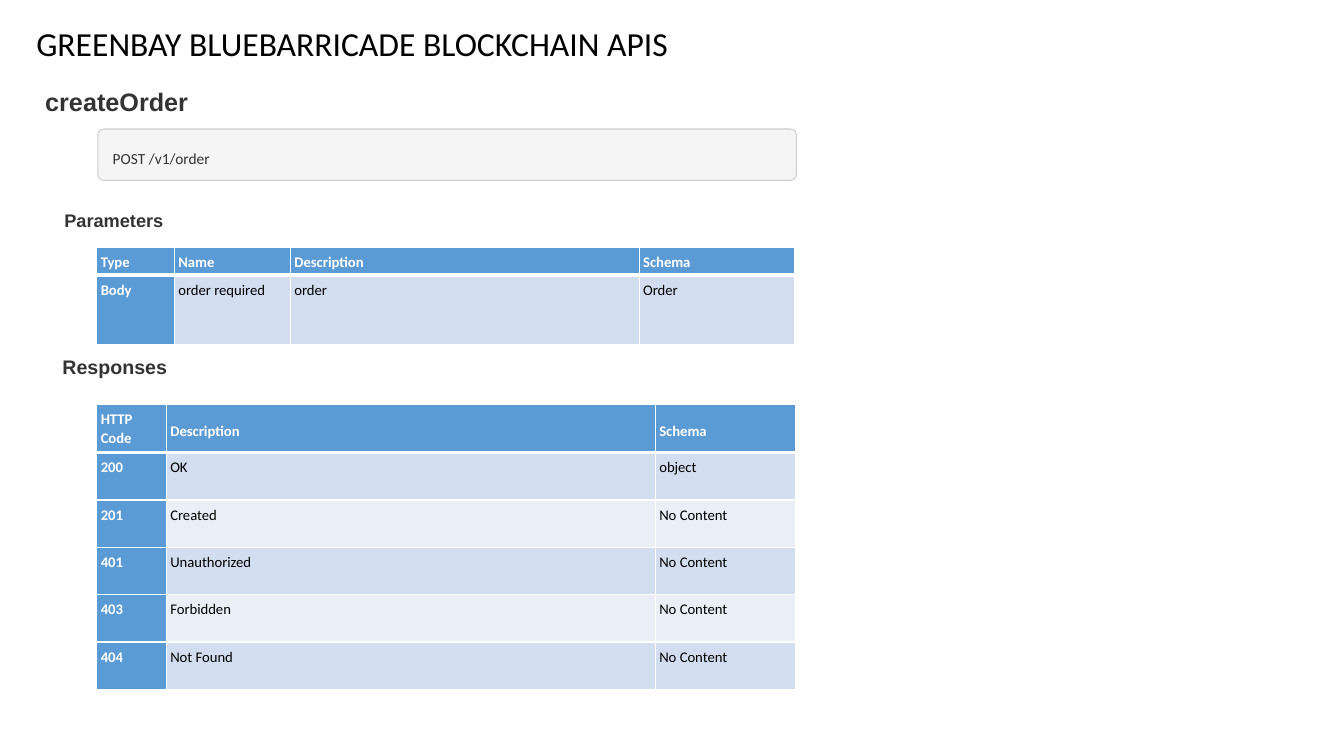
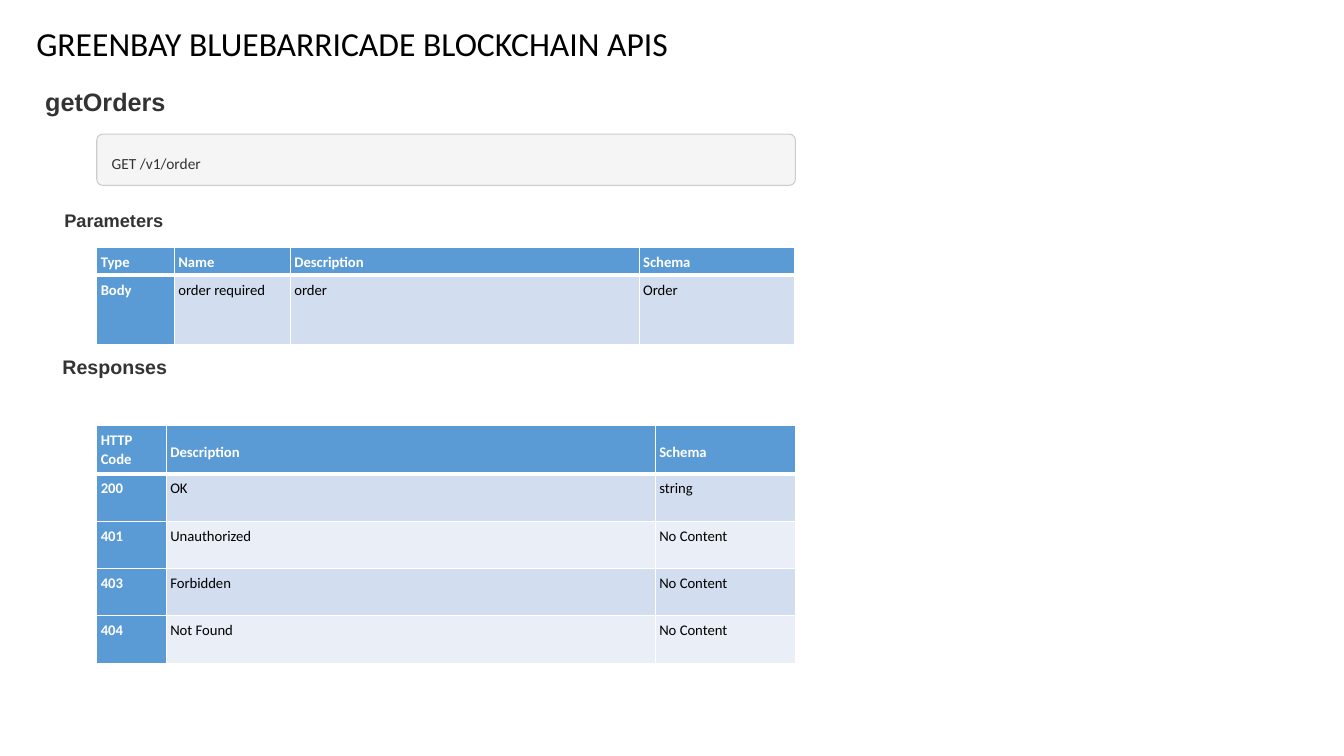
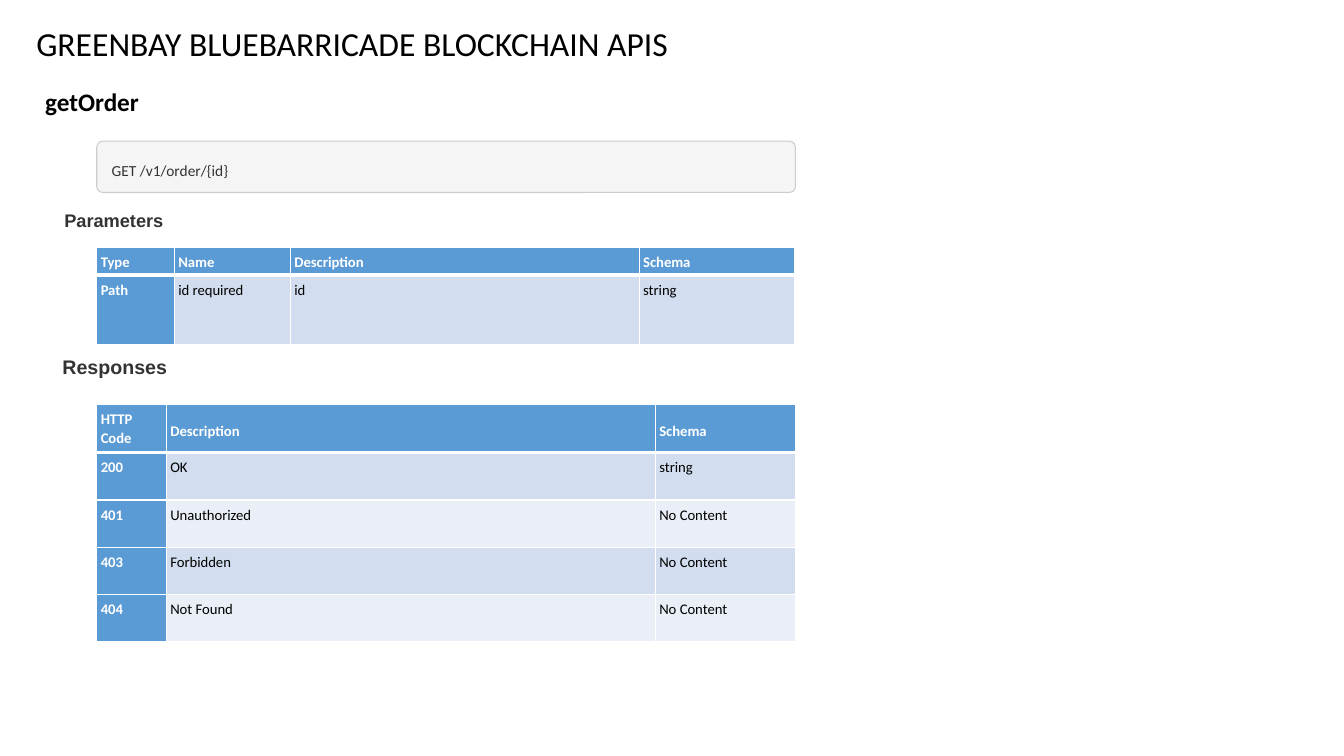
"""Build three reference slides describing the order endpoints of a blockchain API."""
import pptx
import pptx.dml.color
import pptx.enum.shapes
import pptx.enum.text
import pptx.oxml
import pptx.oxml.ns
import pptx.util

Inches = pptx.util.Inches
Pt = pptx.util.Pt
ANCHOR = pptx.enum.text.MSO_ANCHOR

BLACK, WHITE, DARK = "000000", "FFFFFF", "333333"
BLUE, BANDS = "5B9BD5", ("D2DEEF", "EAEFF7")
PANEL, PANEL_LINE = "F5F5F5", "CCCCCC"
TABLE_LEFT = 0.96
PARAMETER_HEADER = ("Type", "Name", "Description", "Schema")
RESPONSE_HEADER = ("HTTP Code", "Description", "Schema")
ERRORS = [
    ("401", "Unauthorized", "No Content"),
    ("403", "Forbidden", "No Content"),
    ("404", "Not Found", "No Content"),
]

ENDPOINTS = [
    {
        "name": "createOrder", "name_font": "Arial", "name_color": DARK,
        "request": "POST /v1/order", "panel_left": 0.97, "panel_top": 1.28,
        "parameter": ("Body", "order required", "order", "Order"),
        "responses": [("200", "OK", "object"), ("201", "Created", "No Content")] + ERRORS,
        "responses_top": 4.01,
    },
    {
        "name": "getOrders", "name_font": "Arial", "name_color": DARK,
        "request": "GET /v1/order", "panel_left": 0.96, "panel_top": 1.33,
        "parameter": ("Body", "order required", "order", "Order"),
        "responses": [("200", "OK", "string")] + ERRORS,
        "responses_top": 4.22,
    },
    {
        "name": "getOrder", "name_font": "Calibri", "name_color": BLACK,
        "request": "GET /v1/order/{id}", "panel_left": 0.96, "panel_top": 1.4,
        "parameter": ("Path", "id required", "id", "string"),
        "responses": [("200", "OK", "string")] + ERRORS,
        "responses_top": 4.01,
    },
]


def rgb(value):
    """Turn a hex string into a colour."""
    return pptx.dml.color.RGBColor.from_string(value)


def write(frame, text, size, font, color, bold=False, spacing=1.0):
    """Put one left-aligned paragraph into a text frame."""
    frame.text = text
    para = frame.paragraphs[0]
    para.alignment = pptx.enum.text.PP_ALIGN.LEFT
    para.line_spacing = spacing
    para.font.size = Pt(size)
    para.font.name = font
    para.font.bold = bold
    para.font.color.rgb = rgb(color)


deck = pptx.Presentation()
deck.slide_width = Inches(13.33)
deck.slide_height = Inches(7.5)

for endpoint in ENDPOINTS:
    page = deck.slides.add_slide(deck.slide_layouts[5])

    title = page.shapes.title
    title.left, title.top = Inches(0.26), Inches(0.18)
    title.width, title.height = Inches(6.52), Inches(0.5)
    title.text_frame.auto_size = pptx.enum.text.MSO_AUTO_SIZE.NONE
    title.text_frame.word_wrap = False
    title.text_frame.vertical_anchor = ANCHOR.TOP
    write(title.text_frame, "GREENBAY BLUEBARRICADE BLOCKCHAIN APIS", 24, "Calibri", BLACK)

    headings = [
        (endpoint["name"], 0.35, 0.81, 3, 0.4, 18, endpoint["name_font"], endpoint["name_color"], 1.0),
        ("Parameters", 0.54, 2.03, 5.8, 0.32, 13, "Arial", DARK, 1.0),
        ("Responses", 0.52, 3.46, 1.25, 0.35, 14, "Arial", DARK, 1.07),
    ]
    for text, left, top, width, height, size, font, color, spacing in headings:
        box = page.shapes.add_textbox(Inches(left), Inches(top), Inches(width), Inches(height))
        box.text_frame.word_wrap = True
        write(box.text_frame, text, size, font, color, True, spacing)

    panel = page.shapes.add_shape(
        pptx.enum.shapes.MSO_SHAPE.ROUNDED_RECTANGLE,
        Inches(endpoint["panel_left"]), Inches(endpoint["panel_top"]), Inches(6.93), Inches(0.51))
    panel.adjustments[0] = 0.12
    panel.shadow.inherit = False
    panel.fill.solid()
    panel.fill.fore_color.rgb = rgb(PANEL)
    panel.line.color.rgb = rgb(PANEL_LINE)
    panel.line.width = Pt(0.75)
    frame = panel.text_frame
    frame.margin_left, frame.margin_top = Inches(0.13), Inches(0.17)
    frame.margin_right = frame.margin_bottom = 0
    frame.vertical_anchor = ANCHOR.TOP
    write(frame, endpoint["request"], 11, "Calibri", DARK, spacing=1.07)

    tables = [
        (2.45, [PARAMETER_HEADER, endpoint["parameter"]],
         (0.77, 1.15, 3.46, 1.54), 0.28, 0.69, ANCHOR.TOP),
        (endpoint["responses_top"], [RESPONSE_HEADER] + endpoint["responses"],
         (0.69, 4.85, 1.39), 0.48, 0.47, ANCHOR.MIDDLE),
    ]
    for top, rows, widths, header_height, row_height, header_anchor in tables:
        height = header_height + row_height * (len(rows) - 1)
        table = page.shapes.add_table(
            len(rows), len(widths), Inches(TABLE_LEFT), Inches(top),
            Inches(sum(widths)), Inches(height)).table
        for column, width in zip(table.columns, widths):
            column.width = Inches(width)
        for row_index, row in enumerate(rows):
            is_header = row_index == 0
            table.rows[row_index].height = Inches(header_height if is_header else row_height)
            for column_index, text in enumerate(row):
                cell = table.cell(row_index, column_index)
                is_label = is_header or column_index == 0
                cell.margin_left, cell.margin_top = Inches(0.04), Inches(0.05)
                cell.margin_right, cell.margin_bottom = Inches(0.08), 0
                cell.vertical_anchor = header_anchor if is_header and column_index else ANCHOR.TOP
                write(cell.text_frame, text, 10.5, "Calibri",
                      WHITE if is_label else BLACK, is_label, 1.07)
                properties = cell._tc.get_or_add_tcPr()
                for side in "LRTB":
                    is_rule = (row_index, side) in ((0, "B"), (1, "T"))
                    properties.append(pptx.oxml.parse_xml(
                        f'<a:ln{side} {pptx.oxml.ns.nsdecls("a")} w="{Pt(3 if is_rule else 1)}">'
                        f'<a:solidFill><a:srgbClr val="{WHITE}"/></a:solidFill></a:ln{side}>'))
                cell.fill.solid()
                cell.fill.fore_color.rgb = rgb(BLUE if is_label else BANDS[(row_index - 1) % 2])

deck.save("out.pptx")
